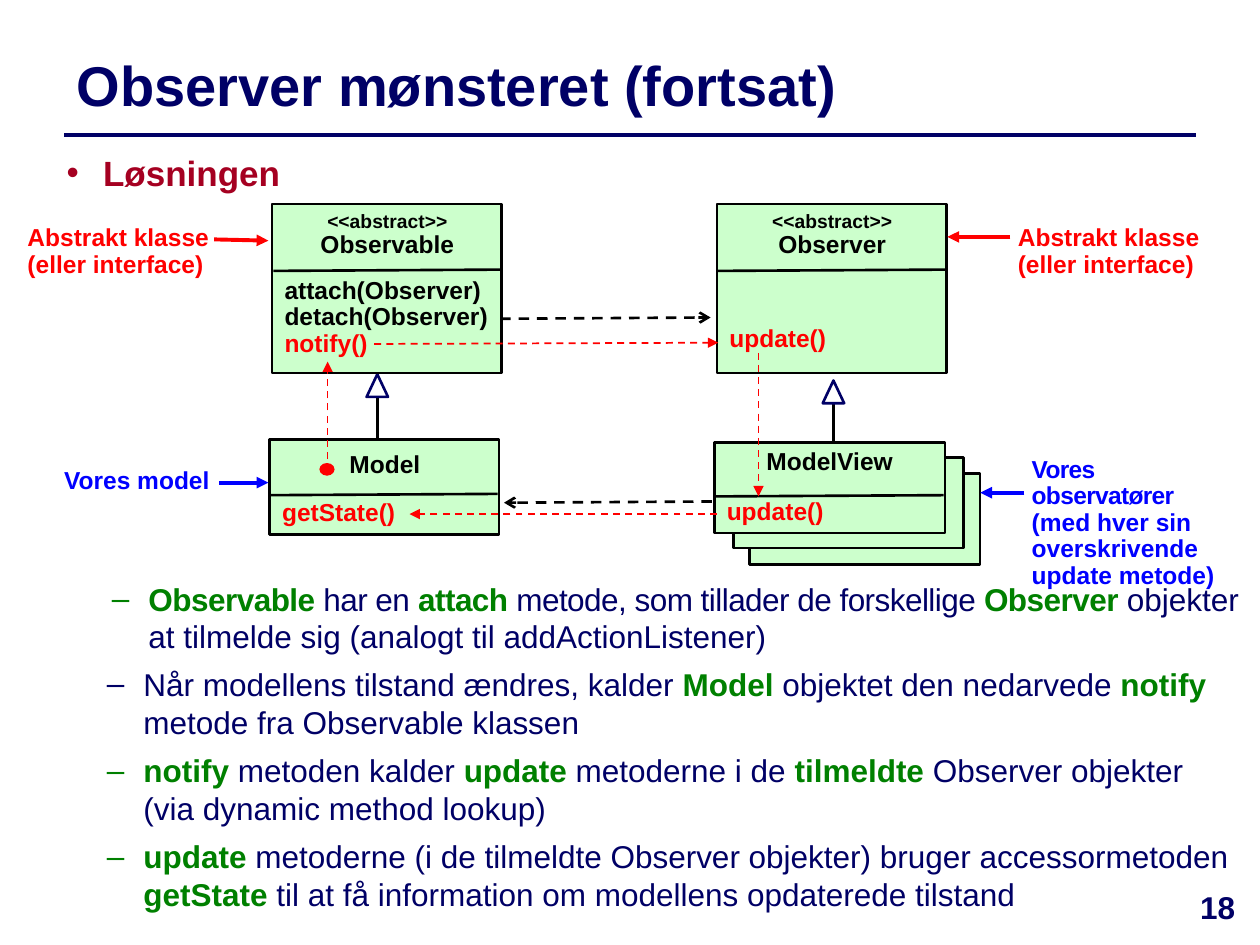
"""Builds the slide on the Observer pattern with its class diagram."""
from lxml.etree import SubElement
from pptx import Presentation
from pptx.dml.color import RGBColor
from pptx.enum.dml import MSO_LINE
from pptx.enum.shapes import MSO_CONNECTOR, MSO_SHAPE
from pptx.enum.text import MSO_ANCHOR, PP_ALIGN
from pptx.oxml.ns import qn
from pptx.util import Inches, Pt

NAVY = RGBColor(0x00, 0x00, 0x66)
CRIMSON = RGBColor(0xA5, 0x00, 0x21)
GREEN = RGBColor(0x00, 0x80, 0x00)
MINT = RGBColor(0xCC, 0xFF, 0xCC)
BLACK = RGBColor(0x00, 0x00, 0x00)
WHITE = RGBColor(0xFF, 0xFF, 0xFF)
RED = RGBColor(0xFF, 0x00, 0x00)
BLUE = RGBColor(0x00, 0x00, 0xFF)


class Painter:
    """Draws text, shapes and arrows on the current page in one style."""

    font_name = "Arial"

    def __init__(self, page):
        self.page = page

    def span(self, para, text, size, color, bold=True, spacing=0):
        for index, piece in enumerate(text.split("\n")):
            if index:
                para.add_line_break()
            if not piece:
                continue
            span = para.add_run()
            span.text = piece
            formats = {"name": self.font_name, "size": Pt(size), "bold": bold}
            for name, value in formats.items():
                setattr(span.font, name, value)
            span.font.color.rgb = color
            if spacing:
                span._r.get_or_add_rPr().set("spc", str(spacing))

    def box(self, place, anchor=MSO_ANCHOR.TOP):
        frame = self.page.shapes.add_textbox(*map(Inches, place)).text_frame
        frame.word_wrap = True
        frame.vertical_anchor = anchor
        return frame

    def bullet(self, para, mark, margin):
        properties = para._p.get_or_add_pPr()
        properties.set("marL", str(Inches(margin)))
        properties.set("indent", str(Inches(-0.29)))
        SubElement(properties, qn("a:buFont"), typeface=self.font_name)
        SubElement(properties, qn("a:buChar"), char=mark)

    def label(self, place, lines, align=PP_ALIGN.LEFT, spacing=0.9, anchor=MSO_ANCHOR.TOP):
        frame = self.box(place, anchor)
        for index, line in enumerate(lines):
            para = frame.add_paragraph() if index else frame.paragraphs[0]
            formats = {"alignment": align, "line_spacing": spacing}
            for name, value in formats.items():
                setattr(para, name, value)
            self.span(para, *line)

    def points(self, place, texts, tight_spans=0):
        """Writes dashed points, with *starred* words bold and green."""
        frame = self.box(place)
        for index, text in enumerate(texts):
            para = frame.add_paragraph() if index else frame.paragraphs[0]
            self.bullet(para, "–", 0.73)
            if index:
                para.space_before = Pt(6)
            for number, piece in enumerate(text.split("*")):
                if piece:
                    key = number % 2 == 1
                    spacing = -30 if number < tight_spans else 0
                    self.span(para, piece, 18, GREEN if key else NAVY, key, spacing)

    def shape(self, kind, place, fill=MINT, line=BLACK, width=1.5):
        shape = self.page.shapes.add_shape(kind, *map(Inches, place))
        shape.shadow.inherit = False
        shape.fill.solid()
        shape.fill.fore_color.rgb = fill
        shape.line.color.rgb = line
        shape.line.width = Pt(width)

    def line(self, start, end, color=BLACK, width=1.5, head=None, dash=None):
        connector = self.page.shapes.add_connector(
            MSO_CONNECTOR.STRAIGHT, *map(Inches, (*start, *end)))
        connector.line.color.rgb = color
        connector.line.width = Pt(width)
        if dash:
            connector.line.dash_style = dash
        properties = connector._element.spPr
        if head:
            SubElement(properties.get_or_add_ln(), qn("a:tailEnd"), type=head)
        SubElement(properties, qn("a:effectLst"))

    def uml_class(self, place, names, name_top, divider, members, members_top):
        left, top, width, height = place
        self.shape(MSO_SHAPE.RECTANGLE, place)
        self.label((left + 0.15, name_top, 1.53, 0.31 * len(names)), names, PP_ALIGN.CENTER)
        self.label((left, members_top, width, 0.31 * len(members)), members)
        self.line((left + width - 0.01, divider), (left + 0.01, divider + 0.01))

    def inheritance(self, tip_left, tip_top, bottom):
        middle = tip_left + 0.085
        self.line((middle, tip_top + 0.1), (middle, bottom))
        self.shape(MSO_SHAPE.ISOSCELES_TRIANGLE, (tip_left, tip_top, 0.17, 0.18), WHITE, NAVY)


def draw_diagram(painter):
    for left, top in ((5.95, 3.76), (5.82, 3.63)):
        painter.shape(MSO_SHAPE.RECTANGLE, (left, top, 1.83, 0.72))
    painter.inheritance(2.91, 2.97, 3.59)
    abstract = ("<<abstract>>", 11, BLACK)
    update = [("update()", 14, RED)]
    operations = [("attach(Observer)", 14, BLACK), ("detach(Observer)", 14, BLACK),
                  ("notify()", 14, RED)]
    classes = (
        ((2.16, 1.62, 1.82, 1.34), [abstract, ("Observable", 14, BLACK)],
         1.63, 2.14, operations, 2.16),
        ((5.69, 1.62, 1.82, 1.34), [abstract, ("Observer", 14, BLACK)],
         1.63, 2.14, update, 2.54),
        ((2.14, 3.49, 1.82, 0.75), [("Model", 14, BLACK)],
         3.54, 3.92, [("getState()", 14, RED)], 3.92),
        ((5.67, 3.51, 1.83, 0.72), [("ModelView", 14, BLACK)],
         3.52, 3.93, update, 3.91),
    )
    for parts in classes:
        painter.uml_class(*parts)
    painter.inheritance(6.53, 3.02, 3.5)
    for start, end in (((3.97, 2.53), (5.64, 2.52)), ((5.65, 3.98), (4, 3.99))):
        painter.line(start, end, head="arrow", dash=MSO_LINE.DASH)


def draw_comments(painter):
    abstract = "Abstrakt klasse (eller interface)"
    for place, text, color in (
        ((7.98, 1.74, 1.84, 0.53), abstract, RED),
        ((0.12, 1.74, 1.84, 0.53), abstract, RED),
        ((0.41, 3.67, 1.38, 0.31), "Vores model", BLUE),
    ):
        painter.label(place, [(text, 14, color)])
    frame = painter.box((8.09, 3.58, 1.87, 0.95))
    para = frame.paragraphs[0]
    para.line_spacing = 0.9
    painter.span(para, "Vores observatører\n", 14, BLUE, spacing=-40)
    painter.span(para, "(med hver sin overskrivende update metode)", 14, BLUE)
    for start, end, color in (
        ((8.13, 3.91), (7.78, 3.91), BLUE),
        ((8.02, 1.88), (7.52, 1.88), RED),
        ((1.7, 1.9), (2.13, 1.91), RED),
        ((1.74, 3.83), (2.13, 3.83), BLUE),
    ):
        painter.line(start, end, color, 2.25, "triangle")


def draw_calls(painter):
    for start, end in (
        ((5.69, 4.08), (3.25, 4.08)),
        ((2.97, 2.73), (5.7, 2.72)),
        ((2.6, 3.74), (2.6, 2.87)),
        ((6.02, 2.8), (6.02, 3.94)),
    ):
        painter.line(start, end, RED, 1, "triangle", MSO_LINE.DASH)
    painter.shape(MSO_SHAPE.OVAL, (2.54, 3.68, 0.11, 0.09), RED, RED, 0.75)


def main():
    deck = Presentation()
    deck.slide_width, deck.slide_height = Inches(10), Inches(7.5)
    painter = Painter(deck.slides.add_slide(deck.slide_layouts[6]))
    painter.line((0.51, 1.07), (9.49, 1.07), NAVY, 2)
    painter.label((0.51, 0.29, 7.95, 0.75), [("Observer mønsteret (fortsat)", 32, NAVY)],
                  spacing=1.0, anchor=MSO_ANCHOR.MIDDLE)
    heading = painter.box((0.43, 1.15, 9.07, 1.1)).paragraphs[0]
    painter.bullet(heading, "•", 0.29)
    painter.span(heading, "Løsningen", 20, CRIMSON)
    painter.label((9.33, 7, 0.67, 0.5), [("18", 18, NAVY)], PP_ALIGN.CENTER, 1.0)
    painter.points((0.31, 5.23, 9.65, 2.83), (
        "Når modellens tilstand ændres, kalder *Model *objektet den nedarvede *notify *"
        "metode fra Observable klassen",
        "*notify* metoden kalder *update* metoderne i de *tilmeldte *Observer objekter\n"
        "(via dynamic method lookup)",
        "*update* metoderne (i de tilmeldte Observer objekter) bruger accessormetoden "
        "*getState* til at få information om modellens opdaterede tilstand",
    ))
    draw_diagram(painter)
    draw_comments(painter)
    draw_calls(painter)
    painter.points((0.35, 4.55, 9.65, 0.71), (
        "*Observable *har en *attach *metode, som tillader de forskellige *Observer *"
        "objekter at tilmelde sig (analogt til addActionListener)",
    ), tight_spans=6)
    deck.save("out.pptx")


if __name__ == "__main__":
    main()
